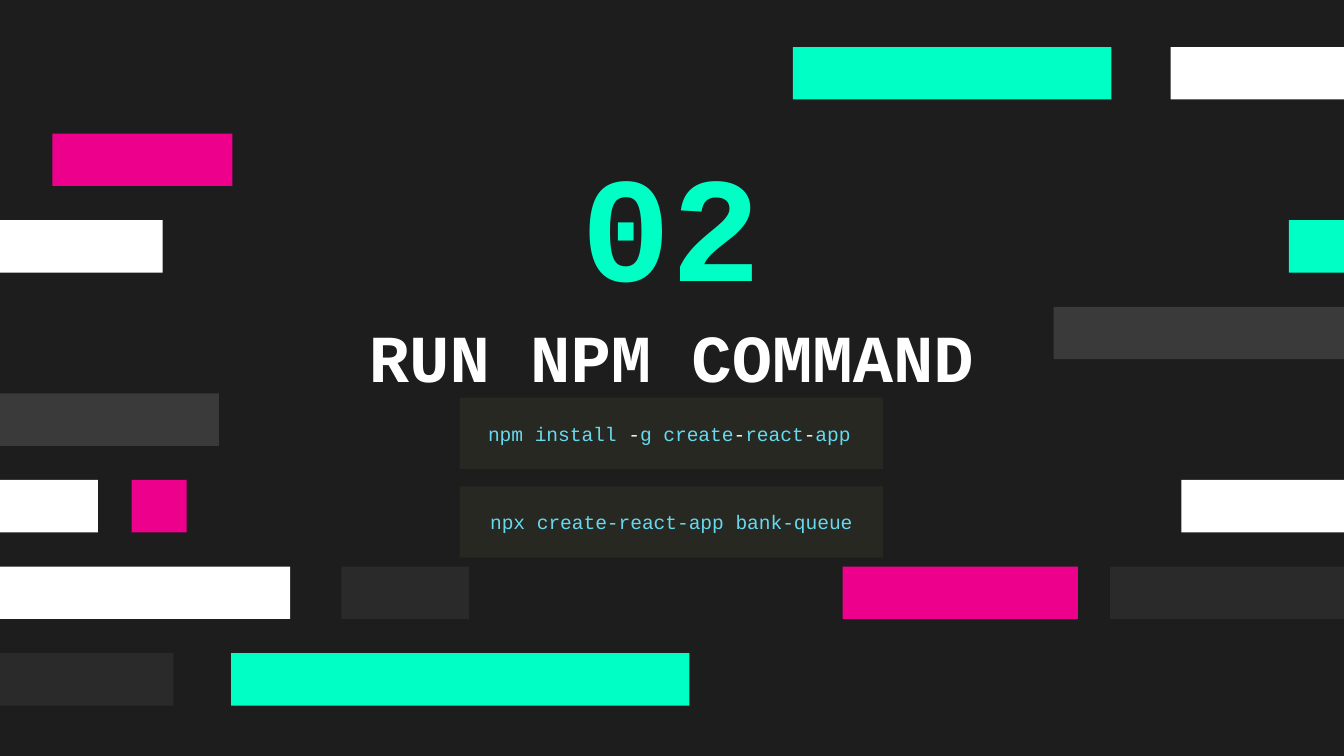
import pptx
import pptx.util
import pptx.dml.color
import pptx.enum.shapes
import pptx.enum.text
import lxml.etree
from dataclasses import dataclass

ANCHOR = pptx.enum.text.MSO_ANCHOR
AUTO_SIZE = pptx.enum.text.MSO_AUTO_SIZE


@dataclass(frozen=True)
class Theme:
    background: str = "1D1D1D"
    white: str = "FFFFFF"
    mint: str = "00FFC5"
    pink: str = "EC008C"
    code_fill: str = "272822"
    code_blue: str = "66D9EF"
    code_pale: str = "F8F8F2"
    navy: str = "1B1464"
    code_font: str = "Courier New"
    plain_font: str = "Arial"
    number_size: float = 80
    title_size: float = 36
    code_size: float = 10.5
    small_size: float = 8


@dataclass(frozen=True)
class Style:
    colour: str
    size: float
    font: str = "Courier New"
    bold: bool = False


THEME = Theme()
WIDTH = 10
HEIGHT = WIDTH * 9 / 16

NUMBER = Style(THEME.mint, THEME.number_size, THEME.code_font, True)
TITLE = Style(THEME.white, THEME.title_size, THEME.code_font, True)
WORD = Style(THEME.code_blue, THEME.code_size, THEME.code_font)
DASH = Style(THEME.code_pale, THEME.code_size, THEME.code_font)
TAIL = Style(THEME.navy, THEME.small_size, THEME.plain_font)

# Eight rows of bars, evenly spaced down the slide
ROW_TOP, ROW_STEP, BAR_HEIGHT = 0.35, 4.51 / 7, 0.39

# Row, left, width, colour, opacity in percent
BARS = [
    (0, 5.9, 2.37, THEME.mint, 100),
    (0, 8.71, 1.29, THEME.white, 100),
    (1, 0.39, 1.34, THEME.pink, 100),
    (2, 0, 1.21, THEME.white, 100),
    (2, 9.59, 0.41, THEME.mint, 100),
    (3, 7.84, 2.16, THEME.white, 13),
    (4, 0, 1.63, THEME.white, 13),
    (5, 0, 0.73, THEME.white, 100),
    (5, 0.98, 0.41, THEME.pink, 100),
    (5, 8.79, 1.21, THEME.white, 100),
    (6, 0, 2.16, THEME.white, 100),
    (6, 2.54, 0.95, THEME.white, 6),
    (6, 6.27, 1.75, THEME.pink, 100),
    (6, 8.26, 1.74, THEME.white, 6),
    (7, 0, 1.29, THEME.white, 6),
    (7, 1.72, 3.41, THEME.mint, 100),
]

# Commands as (text, style) runs
COMMANDS = [
    [
        ("npm install ", WORD),
        ("-", DASH),
        ("g create", WORD),
        ("-", DASH),
        ("react", WORD),
        ("-", DASH),
        ("app", WORD),
        (" ", TAIL),
    ],
    [("npx create-react-app bank-queue", WORD)],
]


def rgb(colour):
    return pptx.dml.color.RGBColor.from_string(colour)


def add_rectangle(page, left, top, width, height, colour, opacity=100):
    box = page.shapes.add_shape(
        pptx.enum.shapes.MSO_SHAPE.RECTANGLE,
        *map(pptx.util.Inches, (left, top, width, height)))
    box.shadow.inherit = False
    box.line.fill.background()
    box.fill.solid()
    box.fill.fore_color.rgb = rgb(colour)
    if opacity < 100:
        tone = box.fill._xPr.find(".//" + pptx.oxml.ns.qn("a:srgbClr"))
        alpha = lxml.etree.SubElement(tone, pptx.oxml.ns.qn("a:alpha"))
        alpha.set("val", str(opacity * 1000))
    return box


def write_line(box, runs, anchor, inset, auto_size):
    frame = box.text_frame
    frame.word_wrap = True
    frame.auto_size = auto_size
    frame.vertical_anchor = anchor
    frame.margin_left = frame.margin_right = pptx.util.Inches(0.1)
    frame.margin_top = frame.margin_bottom = pptx.util.Inches(inset)
    para = frame.paragraphs[0]
    para.alignment = pptx.enum.text.PP_ALIGN.CENTER
    for text, style in runs:
        span = para.add_run()
        span.text = text
        span.font.name = style.font
        span.font.size = pptx.util.Pt(style.size)
        span.font.bold = style.bold
        span.font.color.rgb = rgb(style.colour)


def add_heading(page, text, style, top, height, anchor):
    left, width = 0.39, 9.21
    box = page.shapes.add_textbox(
        *map(pptx.util.Inches, (left, top, width, height)))
    write_line(box, [(text, style)], anchor, 0, AUTO_SIZE.NONE)


def add_command(page, position, runs):
    left, top, width, height, step = 3.42, 2.96, 3.15, 0.53, 0.66
    box = add_rectangle(page, left, top + position * step,
                        width, height, THEME.code_fill)
    write_line(box, runs, ANCHOR.MIDDLE, 0.17, AUTO_SIZE.SHAPE_TO_FIT_TEXT)


def main():
    deck = pptx.Presentation()
    deck.slide_width = pptx.util.Inches(WIDTH)
    deck.slide_height = pptx.util.Inches(HEIGHT)
    page = deck.slides.add_slide(deck.slide_layouts[6])
    page.background.fill.solid()
    page.background.fill.fore_color.rgb = rgb(THEME.background)

    # Scattered bars
    for row, left, width, colour, opacity in BARS:
        add_rectangle(page, left, ROW_TOP + row * ROW_STEP, width,
                      BAR_HEIGHT, colour, opacity)

    # Section title and number
    add_heading(page, "RUN NPM COMMAND", TITLE, 2.4, 0.49, ANCHOR.MIDDLE)
    add_heading(page, "02", NUMBER, 1.78, 0.54, ANCHOR.BOTTOM)

    # Code lines
    for position, runs in enumerate(COMMANDS):
        add_command(page, position, runs)

    deck.save("out.pptx")


if __name__ == "__main__":
    main()
